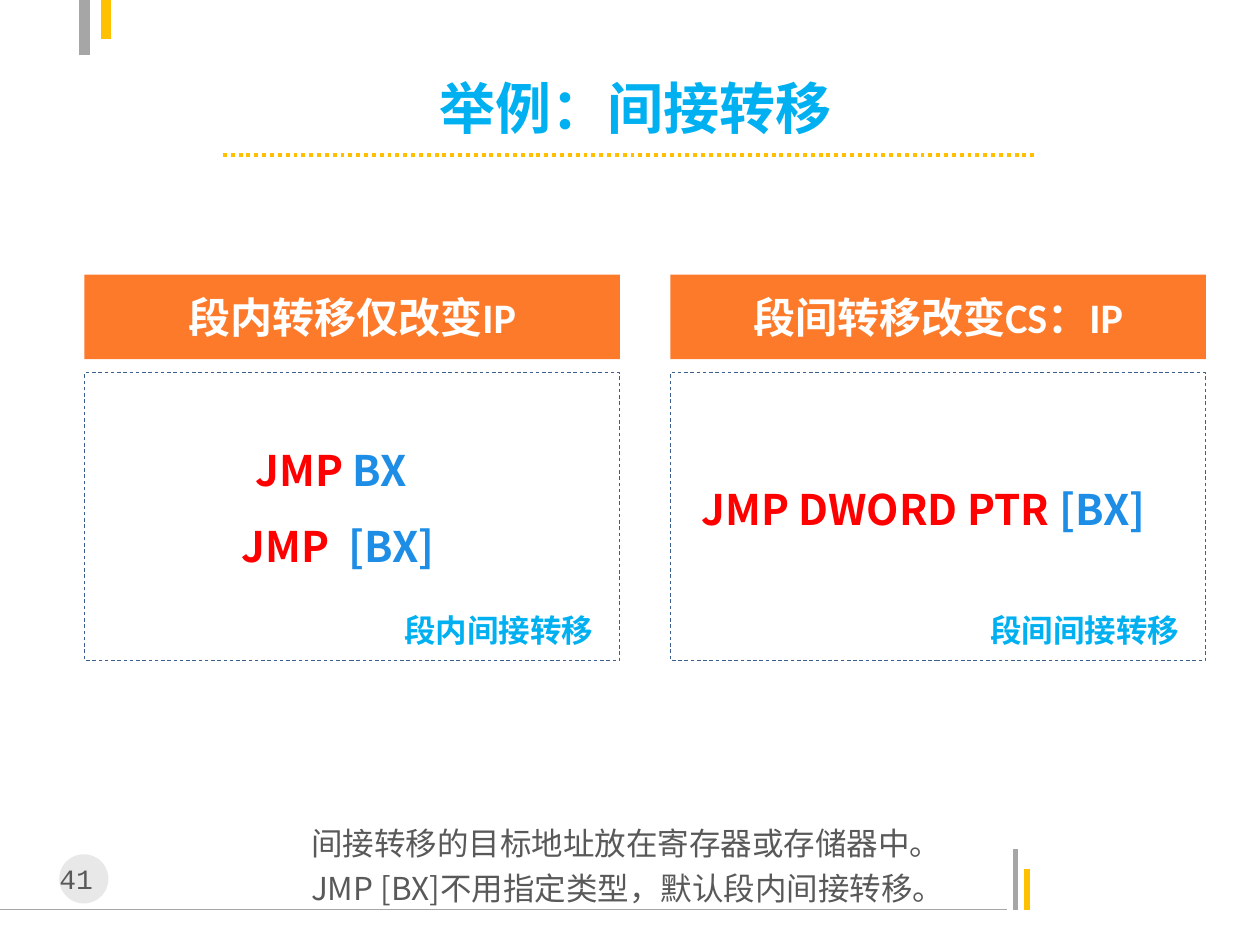
from lxml import etree
from pptx import Presentation
from pptx.dml.color import RGBColor
from pptx.enum.dml import MSO_LINE_DASH_STYLE as Dash
from pptx.enum.shapes import MSO_CONNECTOR, MSO_SHAPE
from pptx.enum.text import MSO_ANCHOR, MSO_AUTO_SIZE, PP_ALIGN
from pptx.oxml.ns import qn
from pptx.util import Inches, Pt

COLORS = {
    "gray": "A6A6A6", "gold": "FFC000", "disc": "BFBFBF", "text": "595959",
    "red": "FF0000", "blue": "1D8DE5", "sky": "00B0F0", "orange": "FD7A2A",
    "navy": "3A5F8C", "white": "FFFFFF",
}
CJK = "Noto Sans CJK SC"


def rgb(name):
    return RGBColor.from_string(COLORS[name])


def add_text(frame, paragraphs, size, bold=True, font=CJK, spacing=None,
             align=PP_ALIGN.LEFT):
    """Fill a frame; each paragraph is a list of (text, color) runs."""
    for index, runs in enumerate(paragraphs):
        paragraph = frame.paragraphs[0] if index == 0 else frame.add_paragraph()
        paragraph.alignment = align
        paragraph.line_spacing = spacing
        for text, color in runs:
            run = paragraph.add_run()
            run.text = text
            run.font.name = font
            run.font.size = Pt(size)
            run.font.bold = bold
            run.font.color.rgb = rgb(color)
            etree.SubElement(run._r.get_or_add_rPr(), qn("a:ea"), typeface=CJK)


prs = Presentation()
prs.slide_width, prs.slide_height = Inches(10), Inches(7.5)
slide = prs.slides.add_slide(prs.slide_layouts[5])
shapes = slide.shapes

# Corner bars, footer rule and dotted title rule
for x1, y1, x2, y2, color, width, dash in [
    (0, 7.22, 7.99, 7.22, "gray", 0.75, None),
    (8.06, 7.22, 8.06, 6.74, "gray", 3, None),
    (8.15, 7.22, 8.15, 6.9, "gold", 3, None),
    (0.67, 0.44, 0.67, 0, "gray", 6, None),
    (0.84, 0, 0.84, 0.31, "gold", 6, None),
    (1.77, 1.23, 8.23, 1.23, "gold", 2.25, Dash.ROUND_DOT),
]:
    rule = shapes.add_connector(MSO_CONNECTOR.STRAIGHT, Inches(x1), Inches(y1),
                                Inches(x2), Inches(y2))
    rule.line.color.rgb = rgb(color)
    rule.line.width = Pt(width)
    if dash:
        rule.line.dash_style = dash
    etree.SubElement(rule._element.spPr, qn("a:effectLst"))

# Page number on a translucent disc
disc = shapes.add_shape(MSO_SHAPE.OVAL, Inches(0.47), Inches(6.78),
                        Inches(0.39), Inches(0.39))
disc.shadow.inherit = False
disc.fill.solid()
disc.fill.fore_color.rgb = rgb("disc")
disc_color = disc._element.spPr.find(".//" + qn("a:srgbClr"))
etree.SubElement(disc_color, qn("a:alpha"), val="35000")
disc.line.fill.background()
page_number = shapes.add_textbox(Inches(0.25), Inches(6.79), Inches(0.71), Inches(0.37))
page_number.text_frame.word_wrap = True
add_text(page_number.text_frame, [[("41", "text")]], 16, bold=False,
         font="Courier New", align=PP_ALIGN.CENTER)

# Title
title = shapes.title
title.left, title.top = Inches(1.42), Inches(0.6)
title.width, title.height = Inches(7.25), Inches(0.5)
title.text_frame.auto_size = MSO_AUTO_SIZE.NONE
title.text_frame.vertical_anchor = MSO_ANCHOR.MIDDLE
add_text(title.text_frame, [[("举例：间接转移", "sky")]], 32, align=PP_ALIGN.CENTER)

# Two columns: orange heading, dashed panel, caption
for left, heading, caption in [
    (0.67, "段内转移仅改变IP", "段内间接转移"),
    (5.32, "段间转移改变CS：IP", "段间间接转移"),
]:
    panel = shapes.add_shape(MSO_SHAPE.RECTANGLE, Inches(left), Inches(2.96),
                             Inches(4.25), Inches(2.28))
    panel.shadow.inherit = False
    panel.fill.background()
    panel.line.color.rgb = rgb("navy")
    panel.line.width = Pt(0.5)
    panel.line.dash_style = Dash.DASH

    header = shapes.add_shape(MSO_SHAPE.RECTANGLE, Inches(left), Inches(2.18),
                              Inches(4.25), Inches(0.67))
    header.shadow.inherit = False
    header.fill.solid()
    header.fill.fore_color.rgb = rgb("orange")
    header.line.fill.background()
    header.text_frame.vertical_anchor = MSO_ANCHOR.MIDDLE
    add_text(header.text_frame, [[(heading, "white")]], 24, font="Calibri",
             align=PP_ALIGN.CENTER)

    caption_box = shapes.add_textbox(Inches(left + 2.44), Inches(4.8),
                                     Inches(1.72), Inches(0.4))
    caption_box.text_frame.word_wrap = False
    add_text(caption_box.text_frame, [[(caption, "sky")]], 18)

# Instructions: red opcode, blue operand
for left, top, width, opcode, operand in [
    (1.93, 3.36, 1.73, "JMP ", "BX"),
    (1.82, 3.97, 2.15, "JMP  ", "[BX]"),
    (5.47, 3.67, 3.93, "JMP DWORD PTR ", "[BX]"),
]:
    instruction = shapes.add_textbox(Inches(left), Inches(top), Inches(width), Inches(0.6))
    instruction.text_frame.word_wrap = True
    add_text(instruction.text_frame, [[(opcode, "red"), (operand, "blue")]], 24,
             spacing=1.29)

# Closing remarks
remarks = shapes.add_textbox(Inches(2.37), Inches(6.43), Inches(5.31), Inches(0.83))
remarks.text_frame.word_wrap = True
add_text(remarks.text_frame, [
    [("间接转移的目标地址放在寄存器或存储器中。", "text")],
    [("JMP [BX]不用指定类型，默认段内间接转移。", "text")],
], 18, bold=False, spacing=1.2)

prs.save("out.pptx")
